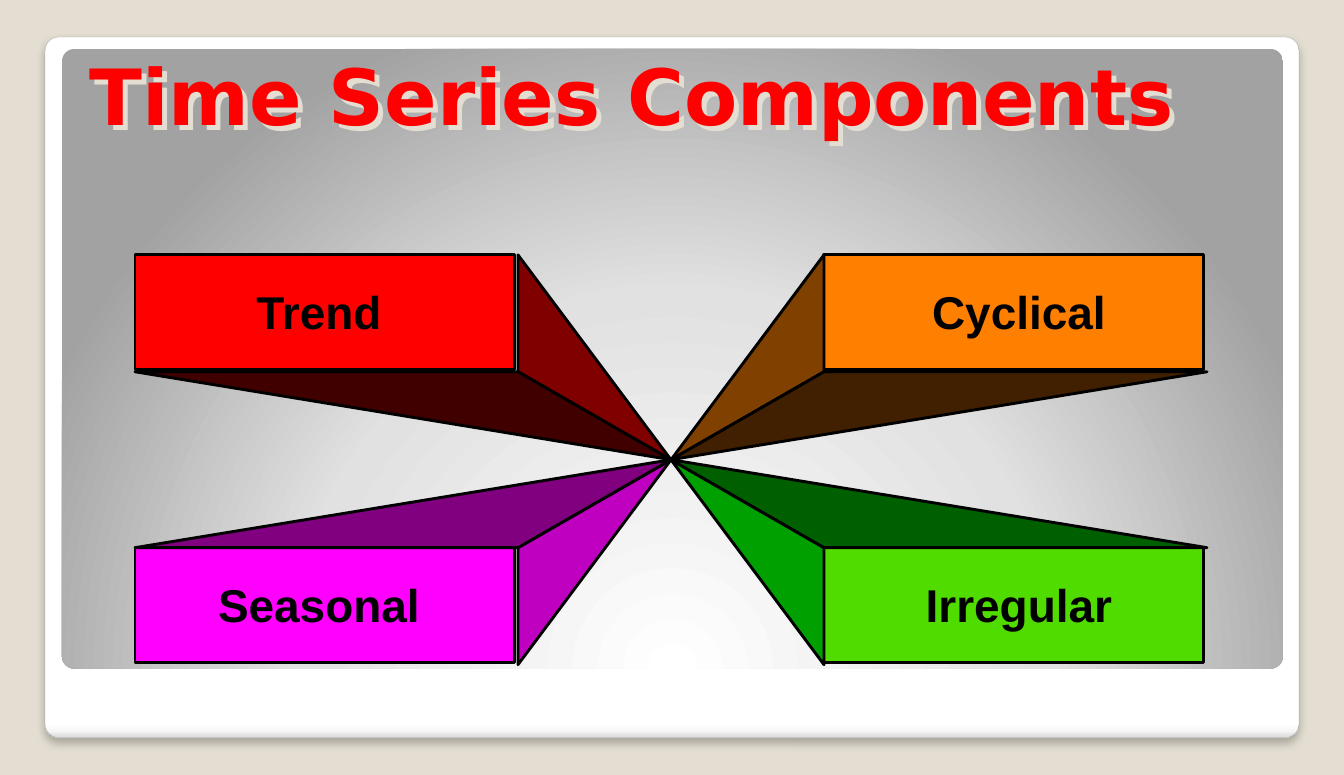
from lxml.etree import SubElement
from pptx import Presentation
from pptx.dml.color import RGBColor
from pptx.enum.shapes import MSO_SHAPE
from pptx.enum.text import MSO_ANCHOR, PP_ALIGN
from pptx.oxml import parse_xml
from pptx.oxml.ns import nsdecls, qn
from pptx.util import Emu, Inches, Pt

PIXEL = Inches(13) / 1344
COLORS = {
    "background": "E3DED1", "outline": "000000", "title": "FF0000",
    "label": "000000", "frame_line": "A4A4A4",
    "trend": "FF0000", "trend_side": "800000", "trend_level": "400000",
    "seasonal": "FF00FF", "seasonal_side": "C000C0", "seasonal_level": "800080",
    "cyclical": "FF8000", "cyclical_side": "804000", "cyclical_level": "402000",
    "irregular": "51DC00", "irregular_side": "00A000", "irregular_level": "006000",
}
FRAME_STOPS = [(0, "FFFFFF"), (98, "FFFFFF"), (99, "F7F7F7"), (100, "DADADA")]
PANEL_STOPS = [(0, "FFFFFF"), (55, "E1E1E1"), (100, "A2A2A2")]
LINEAR = '<a:lin ang="5400000" scaled="0"/>'
RADIAL = ('<a:path path="circle"><a:fillToRect l="50000" t="175000" '
          'r="50000" b="-75000"/></a:path>')


def color(name):
    return RGBColor.from_string(COLORS[name])


def to_emu(box):
    return [Emu(round(length * PIXEL)) for length in box]


def paint(shape, fill):
    shape.shadow.inherit = False
    shape.fill.solid()
    shape.fill.fore_color.rgb = color(fill)
    shape.line.color.rgb = color("outline")
    shape.line.width = Pt(2)


def add_shadow(shape, hex_color, alpha, blur, distance, angle):
    shape.shadow.inherit = False
    effects = shape._element.spPr.find(qn("a:effectLst"))
    shadow = SubElement(effects, qn("a:outerShdw"), blurRad=str(Pt(blur)),
                        dist=str(Pt(distance)), dir=str(angle * 60000),
                        algn="tl", rotWithShape="0")
    tint = SubElement(shadow, qn("a:srgbClr"), val=hex_color)
    SubElement(tint, qn("a:alpha"), val=str(alpha * 1000))


def add_gradient_panel(slide, box, stops, direction):
    panel = slide.shapes.add_shape(MSO_SHAPE.ROUNDED_RECTANGLE, *to_emu(box))
    panel.adjustments[0] = 0.02
    panel.shadow.inherit = False
    panel.line.fill.background()
    stop_xml = "".join(
        f'<a:gs pos="{position * 1000}"><a:srgbClr val="{value}"/></a:gs>'
        for position, value in stops)
    gradient = parse_xml(f'<a:gradFill {nsdecls("a")} rotWithShape="1">'
                         f'<a:gsLst>{stop_xml}</a:gsLst>{direction}</a:gradFill>')
    panel._element.spPr.find(qn("a:prstGeom")).addnext(gradient)
    return panel


def add_backdrop(slide, box):
    left, top, width, height = box
    slide.background.fill.solid()
    slide.background.fill.fore_color.rgb = color("background")
    frame = add_gradient_panel(slide, box, FRAME_STOPS, LINEAR)
    frame.line.color.rgb = color("frame_line")
    frame.line.width = Pt(0.16)
    add_shadow(frame, "000000", 25, 6, 4, 90)
    panel_box = (left + 17, top + 12, width - 33, height - 81)
    add_gradient_panel(slide, panel_box, PANEL_STOPS, RADIAL)


def add_text(slide, box, text, size, font_name, color_name):
    text_box = slide.shapes.add_textbox(*to_emu(box))
    text_box.text_frame.word_wrap = True
    run = text_box.text_frame.paragraphs[0].add_run()
    run.text = text
    run.font.size = Pt(size)
    run.font.name = font_name
    run.font.bold = True
    run.font.color.rgb = color(color_name)
    return text_box


def add_title(slide, box, text):
    title = add_text(slide, box, text, 54, "DejaVu Sans", "title")
    title.text_frame.vertical_anchor = MSO_ANCHOR.BOTTOM
    add_shadow(title, COLORS["background"], 100, 0, 5, 45)


def add_wedge(slide, points, fill):
    builder = slide.shapes.build_freeform(*points[0], scale=PIXEL)
    builder.add_line_segments(points[1:], close=True)
    paint(builder.convert_to_shape(), fill)


def add_component(slide, box, apex, text, label_center, label_width):
    left, top, width, height = box
    right, bottom = left + width, top + height
    name = text.lower()
    inner_x = right if right < apex[0] else left
    inner_y = bottom if bottom < apex[1] else top
    front = slide.shapes.add_shape(
        MSO_SHAPE.RECTANGLE, *to_emu((left, top, width - 3, height - 2)))
    paint(front, name)
    add_wedge(slide, [(inner_x, top), apex, (inner_x, bottom)], f"{name}_side")
    add_wedge(slide, [(left, inner_y), (right, inner_y), apex], f"{name}_level")
    label_box = (left + label_center - label_width / 2, top + 24, label_width, 66)
    label = add_text(slide, label_box, text, 32, "Arial", "label")
    label.text_frame.paragraphs[0].alignment = PP_ALIGN.CENTER


def add_components(slide, box):
    left, top, width, height = box
    card_width, card_height = 383, 117
    apex = (left + width // 2, top + height // 2)
    right_column = left + width - card_width
    lower_row = top + height - card_height
    for text, x, y, label_center, label_width in [
        ("Trend", left, top, 184, 214),
        ("Seasonal", left, lower_row, 184, 304),
        ("Cyclical", right_column, top, 195, 270),
        ("Irregular", right_column, lower_row, 195, 293),
    ]:
        add_component(slide, (x, y, card_width, card_height), apex, text,
                      label_center, label_width)


presentation = Presentation()
presentation.slide_width = Inches(13)
presentation.slide_height = Inches(7.5)
slide = presentation.slides.add_slide(presentation.slide_layouts[6])
add_backdrop(slide, (45, 37, 1254, 701))
add_components(slide, (135, 255, 1072, 410))
add_title(slide, (79, 18, 1254, 128), "Time Series Components")
presentation.save("out.pptx")
